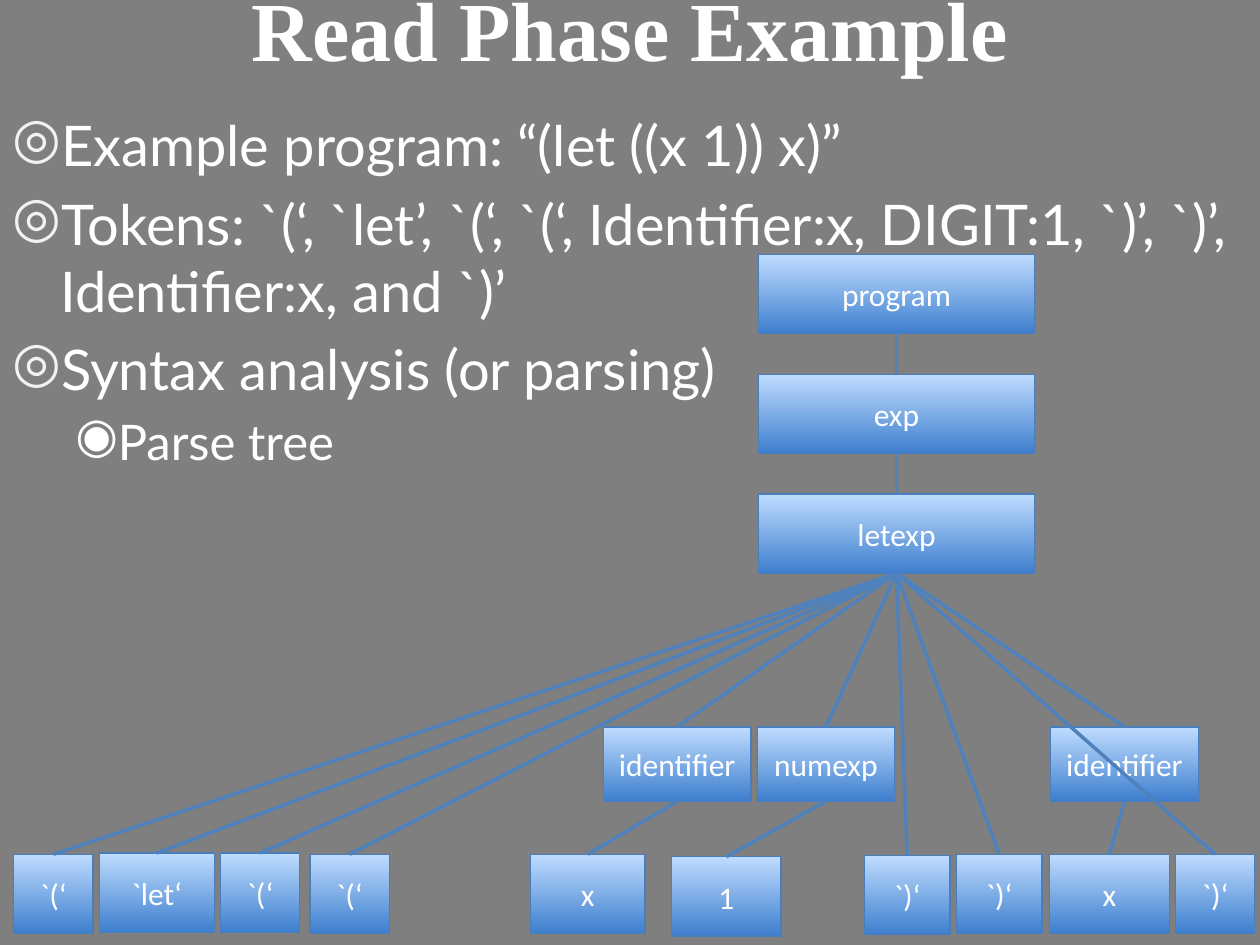
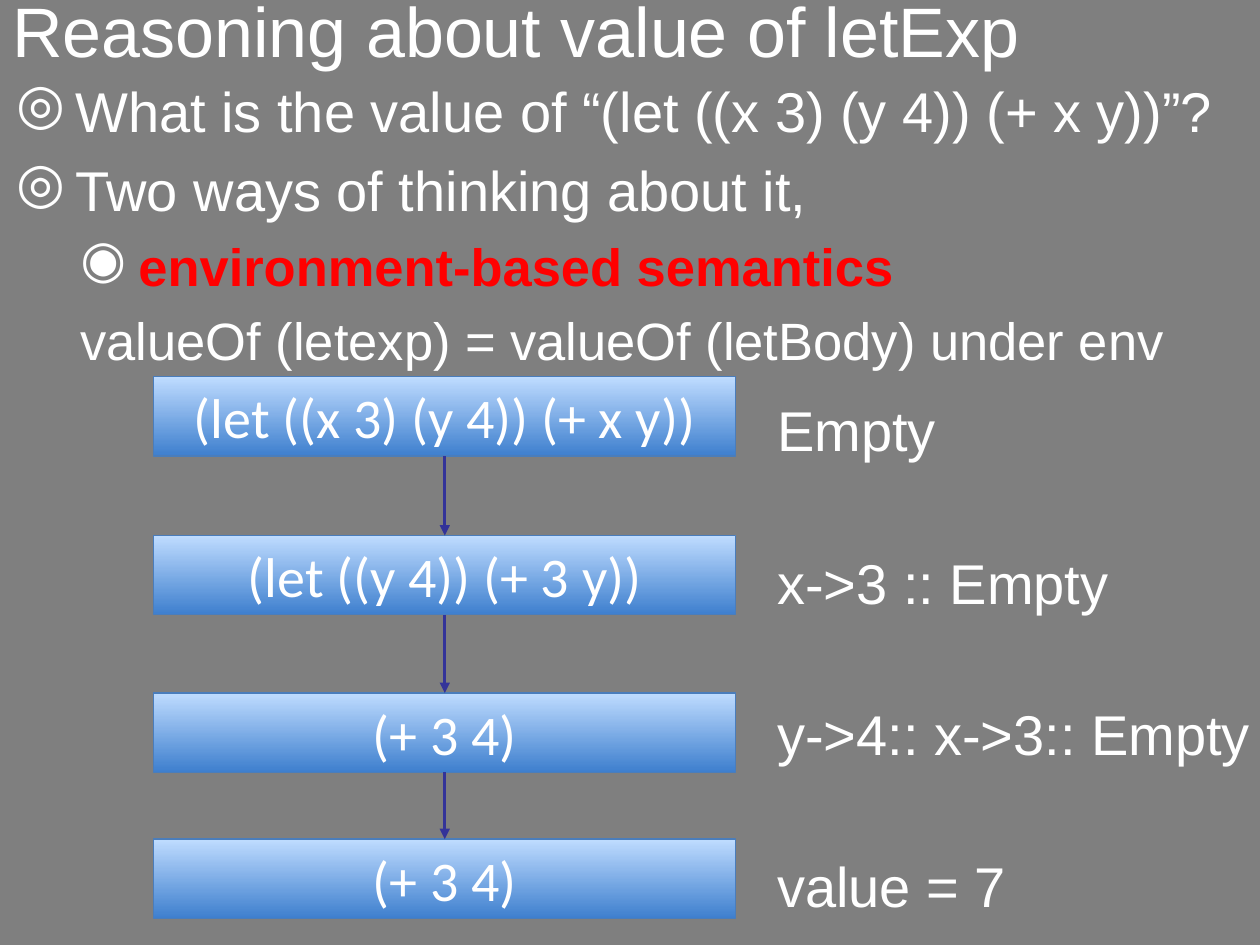
from lxml.etree import SubElement
from pptx import Presentation
from pptx.dml.color import RGBColor
from pptx.enum.shapes import MSO_CONNECTOR as Connector, MSO_SHAPE as Shape
from pptx.enum.text import MSO_ANCHOR as Anchor, PP_ALIGN as Align
from pptx.oxml.ns import qn
from pptx.util import Inches, Pt

BACKGROUND = RGBColor(0x7F, 0x7F, 0x7F)
WHITE = RGBColor(0xFF, 0xFF, 0xFF)
PALE = RGBColor(0xF2, 0xF2, 0xF2)
RED = RGBColor(0xFF, 0x00, 0x00)
BOX_DARK = RGBColor(0x3E, 0x7F, 0xCE)
BOX_LIGHT = RGBColor(0xBF, 0xDC, 0xFF)
BOX_LINE = RGBColor(0x4A, 0x7D, 0xBB)
TREE_LINE = RGBColor(0x4F, 0x81, 0xBD)
ARROW = RGBColor(0x33, 0x33, 0x99)
BOX_HEIGHT = 0.63
TOP, BOTTOM = 0, 2


class Deck:
    """Holds the shared style and the slide being drawn."""

    def __init__(self):
        self.presentation = Presentation()
        self.presentation.slide_width = Inches(10)
        self.presentation.slide_height = Inches(7.5)
        self.slide = None

    def new_slide(self):
        self.slide = self.presentation.slides.add_slide(self.presentation.slide_layouts[6])
        fill = self.slide.background.fill
        fill.solid()
        fill.fore_color.rgb = BACKGROUND

    def style(self, paragraph, font, size, color=WHITE, bold=False):
        paragraph.font.name = font
        paragraph.font.size = Pt(size)
        paragraph.font.color.rgb = color
        paragraph.font.bold = bold

    def text_frame(self, left, top, width, height, inset, anchor=Anchor.TOP):
        shape = self.slide.shapes.add_textbox(
            Inches(left), Inches(top), Inches(width), Inches(height))
        frame = shape.text_frame
        frame.word_wrap = True
        frame.vertical_anchor = anchor
        frame.margin_top = frame.margin_bottom = Inches(inset)
        return frame

    def title(self, text, font, size, inset, align=Align.LEFT, bold=False):
        paragraph = self.text_frame(0, 0, 10, 0.67, inset, Anchor.BOTTOM).paragraphs[0]
        paragraph.text = text
        paragraph.alignment = align
        self.style(paragraph, font, size, bold=bold)

    def label(self, text, left, top, width):
        paragraph = self.text_frame(left, top, width, BOX_HEIGHT, 0.1).paragraphs[0]
        paragraph.text = text
        self.style(paragraph, "Arial", 32)

    def body(self, frame, font, items):
        for index, (text, level, size, before, margin, indent, bullet, bullet_color, color) in enumerate(items):
            paragraph = frame.add_paragraph() if index else frame.paragraphs[0]
            paragraph.text = text
            paragraph.level = level
            paragraph.space_before = Pt(before)
            properties = paragraph._p.get_or_add_pPr()
            properties.set("marL", str(Inches(margin)))
            properties.set("indent", str(Inches(indent)))
            if bullet:
                tint = SubElement(properties, qn("a:buClr"))
                SubElement(tint, qn("a:srgbClr"), val=str(bullet_color))
                SubElement(properties, qn("a:buChar"), char=bullet)
            self.style(paragraph, font, size, color, color == RED)

    def box(self, text, left, top, width, height=BOX_HEIGHT, size=18):
        shape = self.slide.shapes.add_shape(
            Shape.RECTANGLE, Inches(left), Inches(top), Inches(width), Inches(height))
        shape.shadow.inherit = False
        shape.fill.gradient()
        shape.fill.gradient_angle = 90
        for stop, color in zip(shape.fill.gradient_stops, (BOX_DARK, BOX_LIGHT)):
            stop.color.rgb = color
        shape.line.color.rgb = BOX_LINE
        shape.line.width = Pt(0.75)
        shape.text_frame.vertical_anchor = Anchor.MIDDLE
        paragraph = shape.text_frame.paragraphs[0]
        paragraph.text = text
        paragraph.alignment = Align.CENTER
        self.style(paragraph, "Calibri", size)
        return shape

    def link(self, parent, child, color=TREE_LINE, width=2, arrow=False):
        connector = self.slide.shapes.add_connector(Connector.STRAIGHT, 0, 0, 0, 0)
        connector.begin_connect(parent, BOTTOM)
        connector.end_connect(child, TOP)
        connector.line.color.rgb = color
        connector.line.width = Pt(width)
        if arrow:
            SubElement(connector.line._get_or_add_ln(), qn("a:tailEnd"), type="triangle")
        SubElement(connector._element.spPr, qn("a:effectLst"))


def build_parse_tree(deck):
    deck.new_slide()
    deck.title("Read Phase Example", "Times New Roman", 48, 0.05, Align.CENTER, True)
    points = ("Example program: “(let ((x 1)) x)”",
              "Tokens: `(‘, `let’, `(‘, `(‘, Identifier:x, DIGIT:1, `)’, `)’, Identifier:x, and `)’",
              "Syntax analysis (or parsing)")
    items = [(text, 0, 32, 6.4 if index else 0, 0.38, -0.38, "◎", PALE, WHITE)
             for index, text in enumerate(points)]
    items.append(("Parse tree", 1, 28, 5.6, 0.81, -0.31, "◉", WHITE, WHITE))
    deck.body(deck.text_frame(0, 0.83, 10, 6.67, 0.05), "Lato", items)

    program, exp, letexp = [deck.box(name, 6.02, 2.02 + 0.95 * row, 2.19)
                            for row, name in enumerate(("program", "exp", "letexp"))]
    binding, number, result = [deck.box(name, left, 5.77, width, 0.59) for name, left, width in (
        ("identifier", 4.79, 1.17), ("numexp", 6.01, 1.09), ("identifier", 8.34, 1.17))]
    links = [(program, exp), (exp, letexp),
             (letexp, binding), (letexp, number), (letexp, result)]
    tokens = (
        ("`(‘", 0.11, 6.78, 0.63, letexp), ("`let‘", 0.79, 6.77, 0.91, letexp),
        ("`(‘", 1.75, 6.77, 0.63, letexp), ("`(‘", 2.46, 6.78, 0.63, letexp),
        ("x", 4.21, 6.78, 0.91, binding), ("1", 5.33, 6.8, 0.87, number),
        ("`)‘", 6.86, 6.79, 0.68, letexp), ("`)‘", 7.59, 6.78, 0.68, letexp),
        ("x", 8.33, 6.78, 0.95, result), ("`)‘", 9.33, 6.78, 0.63, letexp))
    for text, left, top, width, parent in tokens:
        links.append((parent, deck.box(text, left, top, width)))
    for parent, child in links:
        deck.link(parent, child)


def build_let_semantics(deck):
    deck.new_slide()
    deck.body(deck.text_frame(0, 0.51, 10.59, 6.99, 0.1), "Arial", (
        ("What is the value of “(let ((x 3) (y 4)) (+ x y))”?",
         0, 32, 6.4, 0.5, -0.47, "◎", WHITE, WHITE),
        ("Two ways of thinking about it,", 0, 32, 6.4, 0.5, -0.47, "◎", WHITE, WHITE),
        ("environment-based semantics", 1, 30, 6.4, 1, -0.46, "◉", WHITE, RED),
        ("valueOf (letexp) = valueOf (letBody) under env",
         1, 30, 6.4, 0.54, 0, None, None, WHITE)))
    deck.title("Reasoning about value of letExp", "Arial", 40, 0.1)
    steps = (("(let ((x 3) (y 4)) (+ x y))", 2.99, "Empty", 3.04, 3.27),
             ("(let ((y 4)) (+ 3 y))", 4.25, "x->3 :: Empty", 4.25, 3.93),
             ("(+ 3 4)", 5.5, "y->4:: x->3:: Empty", 5.45, 4.79),
             ("(+ 3 4)", 6.66, "value = 7", 6.66, 3.27))
    previous = None
    for expression, top, environment, label_top, label_width in steps:
        step = deck.box(expression, 1.22, top, 4.62, size=32)
        deck.label(environment, 6.07, label_top, label_width)
        if previous:
            deck.link(previous, step, ARROW, 1.5, arrow=True)
        previous = step


def main():
    deck = Deck()
    build_parse_tree(deck)
    build_let_semantics(deck)
    deck.presentation.save("out.pptx")


if __name__ == "__main__":
    main()
